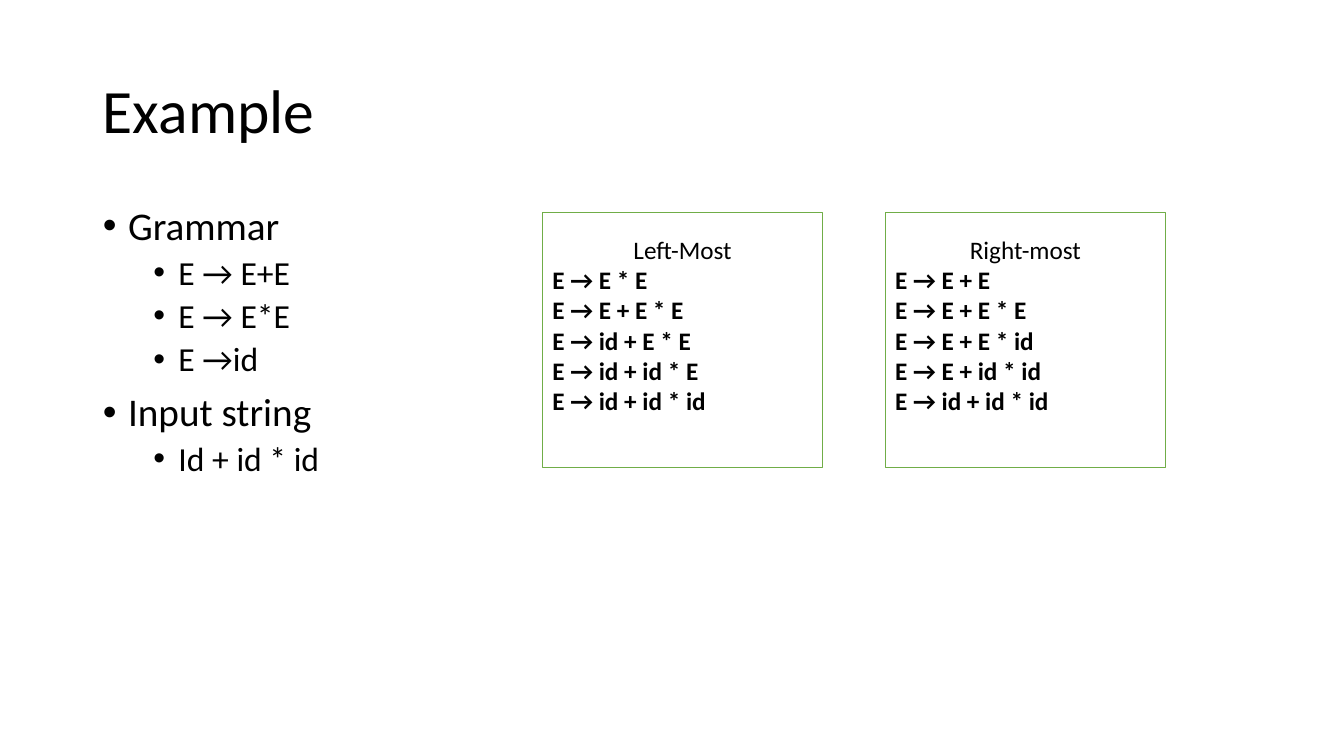
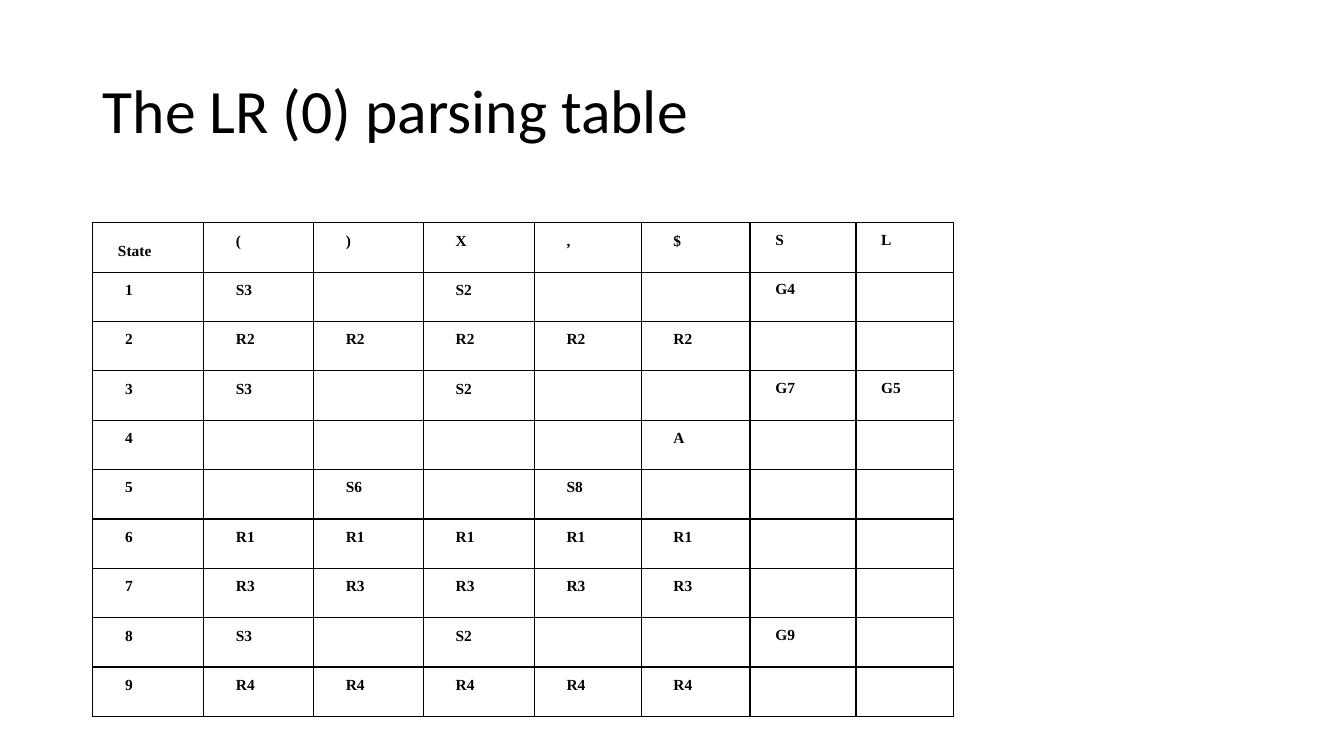
from lxml.etree import SubElement
from pptx import Presentation
from pptx.dml.color import RGBColor
from pptx.enum.shapes import MSO_SHAPE
from pptx.enum.text import MSO_ANCHOR, MSO_AUTO_SIZE, PP_ALIGN
from pptx.oxml import parse_xml
from pptx.oxml.ns import nsdecls, qn
from pptx.util import Pt

PX = 9144  # 100 px to the inch
BLACK = RGBColor(0x00, 0x00, 0x00)
WHITE = RGBColor(0xFF, 0xFF, 0xFF)
GREEN = RGBColor(0x70, 0xAD, 0x47)
HEADING_FONT, TABLE_FONT = "Calibri", "Times New Roman"
LEFT, CONTENT_WIDTH = 92 * PX, 1150 * PX

presentation = Presentation()
presentation.slide_width = 1333 * PX
presentation.slide_height = 750 * PX


def style_text(paragraph, size, font=HEADING_FONT, bold=False):
    for run in paragraph.runs:
        run.font.size = Pt(size)
        run.font.name = font
        run.font.bold = bold
        run.font.color.rgb = BLACK


def add_titled_slide(layout_index, heading):
    slide = presentation.slides.add_slide(presentation.slide_layouts[layout_index])
    title = slide.shapes.title
    title.left, title.top = LEFT, 40 * PX
    title.width, title.height = CONTENT_WIDTH, 145 * PX
    title.text_frame.text = heading
    title.text_frame.auto_size = MSO_AUTO_SIZE.NONE
    title.text_frame.vertical_anchor = MSO_ANCHOR.MIDDLE
    paragraph = title.text_frame.paragraphs[0]
    paragraph.alignment = PP_ALIGN.LEFT
    paragraph.line_spacing = 0.9
    style_text(paragraph, 44)
    return slide


# Slide 1: grammar and its two derivations
example = add_titled_slide(1, "Example")

GRAMMAR = [
    (0, "Grammar"),
    (1, "E → E+E"),
    (1, "E → E*E"),
    (1, "E →id"),
    (0, "Input string"),
    (1, "Id + id * id"),
]
grammar = example.placeholders[1]
grammar.left, grammar.top = LEFT, 200 * PX
grammar.width, grammar.height = CONTENT_WIDTH, 476 * PX
grammar.text_frame.text = "\n".join(line for _, line in GRAMMAR)
grammar.text_frame.auto_size = MSO_AUTO_SIZE.NONE
for paragraph, (level, _) in zip(grammar.text_frame.paragraphs, GRAMMAR):
    paragraph.level = level
    paragraph.line_spacing = 0.9
    paragraph.space_before = Pt(5 if level else 10)
    style_text(paragraph, 24 if level else 28)
    properties = paragraph._p.get_or_add_pPr()
    properties.set("marL", str((25 + 50 * level) * PX))
    properties.set("indent", str(-25 * PX))
    SubElement(properties, qn("a:buFont"), typeface="Arial")
    SubElement(properties, qn("a:buChar"), char="•")

DERIVATIONS = [
    ("Left-Most", ["E → E * E", "E → E + E * E", "E → id + E * E",
                   "E → id + id * E", "E → id + id * id"]),
    ("Right-most", ["E → E + E", "E → E + E * E", "E → E + E * id",
                    "E → E + id * id", "E → id + id * id"]),
]
for index, (order, steps) in enumerate(DERIVATIONS):
    derivation = example.shapes.add_shape(
        MSO_SHAPE.RECTANGLE, (538 + 340 * index) * PX, 211 * PX, 278 * PX, 253 * PX)
    derivation.shadow.inherit = False
    derivation.fill.solid()
    derivation.fill.fore_color.rgb = WHITE
    derivation.line.color.rgb = GREEN
    derivation.line.width = Pt(1)
    frame = derivation.text_frame
    frame.text = "\n".join([order, *steps])
    frame.vertical_anchor = MSO_ANCHOR.MIDDLE
    frame.margin_bottom = 35 * PX  # lifts the text above the middle
    for row, paragraph in enumerate(frame.paragraphs):
        paragraph.alignment = PP_ALIGN.LEFT if row else PP_ALIGN.CENTER
        style_text(paragraph, 18, bold=row > 0)

# Slide 2: parsing table
parsing = add_titled_slide(5, "The LR (0) parsing table")

COLUMN_WIDTHS = [110, 109, 109, 110, 106, 108, 105, 97]
ROW_HEIGHT = 49
GOTO_COLUMN = 6
ACTIONS = [
    ["State", "(", ")", "X", ",", "$", "S", "L"],
    ["1", "S3", "", "S2", "", "", "G4", ""],
    ["2"] + ["R2"] * 5 + ["", ""],
    ["3", "S3", "", "S2", "", "", "G7", "G5"],
    ["4", "", "", "", "", "A", "", ""],
    ["5", "", "S6", "", "S8", "", "", ""],
    ["6"] + ["R1"] * 5 + ["", ""],
    ["7"] + ["R3"] * 5 + ["", ""],
    ["8", "S3", "", "S2", "", "", "G9", ""],
    ["9"] + ["R4"] * 5 + ["", ""],
]
table = parsing.shapes.add_table(
    len(ACTIONS), len(COLUMN_WIDTHS), LEFT, 221 * PX,
    sum(COLUMN_WIDTHS) * PX, len(ACTIONS) * ROW_HEIGHT * PX).table
table.first_row = table.horz_banding = False
for column, width in zip(table.columns, COLUMN_WIDTHS):
    column.width = width * PX

for row, actions in enumerate(ACTIONS):
    table.rows[row].height = ROW_HEIGHT * PX
    for column, action in enumerate(actions):
        cell = table.cell(row, column)
        cell.fill.background()
        flush = column >= GOTO_COLUMN or action == "State"
        cell.margin_left = cell.margin_right = 0 if flush else 7 * PX
        cell.margin_top = 0 if flush else 1 * PX
        cell.margin_bottom = 0
        cell.vertical_anchor = MSO_ANCHOR.MIDDLE if action == "State" else MSO_ANCHOR.TOP

        # Borders come before the fill in the cell properties
        for position, side in enumerate(["lnL", "lnR", "lnT", "lnB"]):
            border = parse_xml(
                f'<a:{side} {nsdecls("a")} w="{Pt(1)}"><a:solidFill>'
                f'<a:srgbClr val="{BLACK}"/></a:solidFill></a:{side}>')
            cell._tc.get_or_add_tcPr().insert(position, border)

        if action:
            cell.text_frame.text = action
            paragraph = cell.text_frame.paragraphs[0]
            paragraph.line_spacing = 1.5
            paragraph.space_before = Pt(12)
            paragraph.space_after = Pt(10)
            paragraph._p.get_or_add_pPr().set("marL", str(25 * PX))
            style_text(paragraph, 11, TABLE_FONT, bold=True)

presentation.save("out.pptx")
